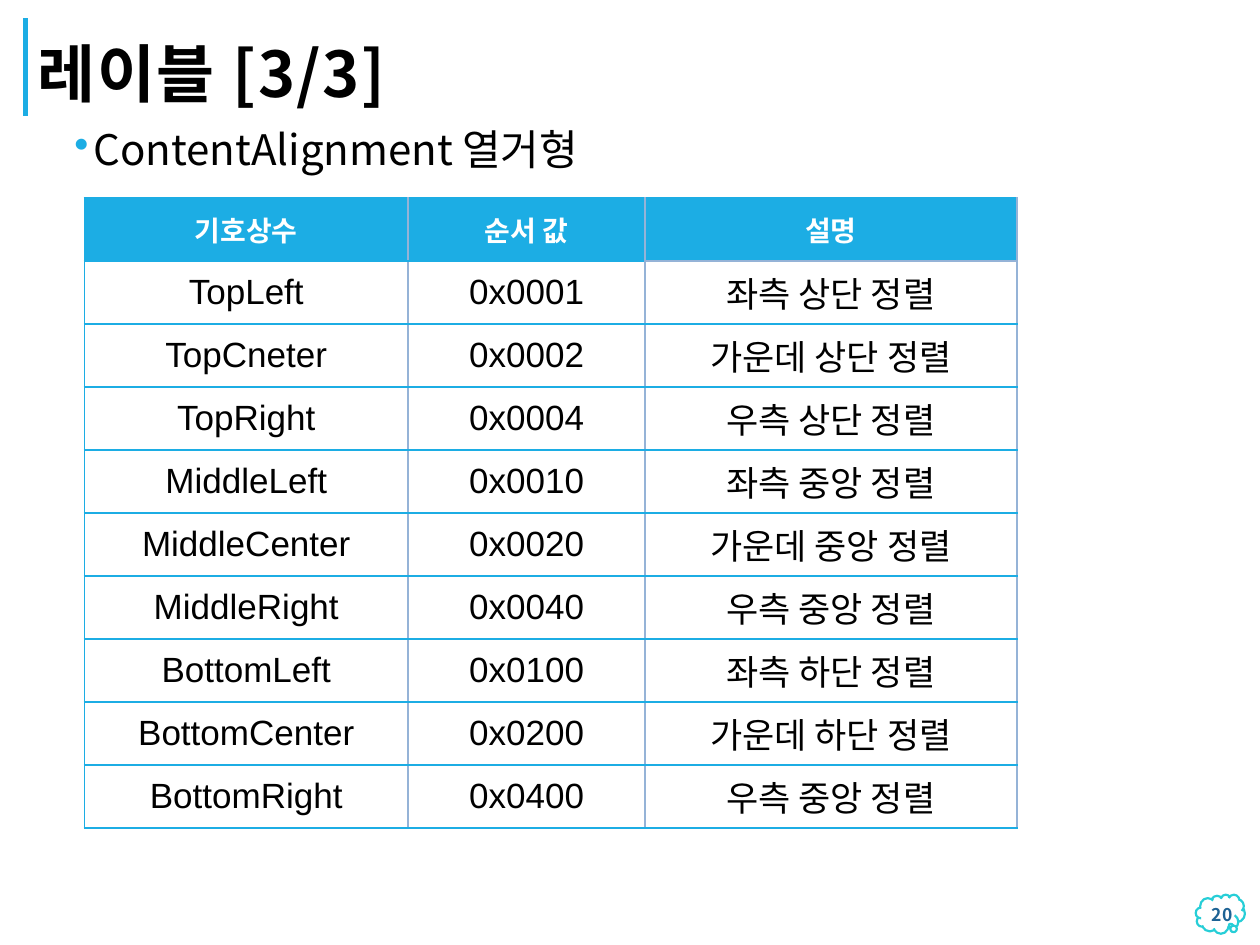
from lxml import etree
from pptx import Presentation
from pptx.dml.color import RGBColor
from pptx.enum import shapes, text
from pptx.oxml.ns import qn
from pptx.util import Inches, Pt

COLORS = {"accent": "1CADE4", "grid": "95B3D7", "cloud": "27CED7",
          "number": "1D6294", "black": "000000", "white": "FFFFFF"}
KOREAN_FONT = "Noto Sans CJK KR"
TITLE = "레이블 [3/3]"
SUBTITLE = "ContentAlignment 열거형"
PAGE_NUMBER = "20"
HEADER = ("기호상수", "순서 값", "설명")
MEMBERS = [
    ("TopLeft", "0x0001", "좌측 상단 정렬"),
    ("TopCneter", "0x0002", "가운데 상단 정렬"),
    ("TopRight", "0x0004", "우측 상단 정렬"),
    ("MiddleLeft", "0x0010", "좌측 중앙 정렬"),
    ("MiddleCenter", "0x0020", "가운데 중앙 정렬"),
    ("MiddleRight", "0x0040", "우측 중앙 정렬"),
    ("BottomLeft", "0x0100", "좌측 하단 정렬"),
    ("BottomCenter", "0x0200", "가운데 하단 정렬"),
    ("BottomRight", "0x0400", "우측 중앙 정렬"),
]
COLUMN_WIDTHS = (2.57, 1.88, 2.95)
ROW_HEIGHT = 0.5


def rgb(name):
    return RGBColor.from_string(COLORS[name])


def style_run(run, size, color, bold=False, font=KOREAN_FONT):
    run.font.size = Pt(size)
    run.font.bold = bold
    run.font.name = font
    run.font.color.rgb = rgb(color)
    east_asian = etree.Element(qn("a:ea"), typeface=KOREAN_FONT)
    run.font._element.find(qn("a:latin")).addnext(east_asian)


def add_text(slide, box, content, size, color, bold=False,
             anchor=text.MSO_ANCHOR.TOP):
    text_box = slide.shapes.add_textbox(*map(Inches, box))
    frame = text_box.text_frame
    frame.word_wrap = True
    frame.vertical_anchor = anchor
    frame.text = content
    paragraph = frame.paragraphs[0]
    style_run(paragraph.runs[0], size, color, bold)
    return frame, paragraph


def set_borders(cell, **sides):
    properties = cell._tc.get_or_add_tcPr()
    for position, side in enumerate(("L", "R", "T", "B")):
        line = etree.Element(qn(f"a:ln{side}"), w=str(Pt(1)))
        fill = etree.SubElement(line, qn("a:solidFill"))
        etree.SubElement(fill, qn("a:srgbClr"), val=COLORS[sides[side]])
        properties.insert(position, line)


presentation = Presentation()
presentation.slide_width, presentation.slide_height = Inches(10), Inches(7.5)
slide = presentation.slides.add_slide(presentation.slide_layouts[6])

# Title bar
bar = slide.shapes.add_connector(shapes.MSO_CONNECTOR.STRAIGHT, Inches(0.2),
                                 Inches(0.92), Inches(0.2), Inches(0.14))
bar.line.color.rgb = rgb("accent")
bar.line.width = Pt(3)
etree.SubElement(bar._element.spPr, qn("a:effectLst"))

# Page number cloud
cloud = slide.shapes.add_shape(shapes.MSO_SHAPE.CLOUD_CALLOUT,
                               *map(Inches, (9.49, 7.1, 0.39, 0.31)))
cloud.shadow.inherit = False
cloud.adjustments[0], cloud.adjustments[1] = 0.2, 0.28
cloud.fill.solid()
cloud.fill.fore_color.rgb = rgb("white")
cloud.line.color.rgb = rgb("cloud")
cloud.line.width = Pt(1.25)

# Bulleted subtitle
frame, paragraph = add_text(slide, (0.2, 0.98, 9.61, 6.14), SUBTITLE, 24, "black")
frame.margin_left = frame.margin_right = Inches(0.05)
frame.margin_top = frame.margin_bottom = Inches(0.05)
paragraph.line_spacing = 0.9
paragraph.space_before, paragraph.space_after = Pt(2), Pt(4)
properties = paragraph._p.get_or_add_pPr()
properties.set("marL", str(Inches(0.49)))
properties.set("indent", str(Inches(-0.15)))
bullet_color = etree.SubElement(properties, qn("a:buClr"))
etree.SubElement(bullet_color, qn("a:srgbClr"), val=COLORS["accent"])
etree.SubElement(properties, qn("a:buChar"), char="•")

# Title
frame, paragraph = add_text(slide, (0.2, 0.14, 7.97, 0.78), TITLE, 36, "black",
                            True, text.MSO_ANCHOR.BOTTOM)
paragraph.line_spacing = 0.8
paragraph.runs[0].font._element.set("spc", "100")

# Page number
frame, paragraph = add_text(slide, (9.25, 7.09, 0.63, 0.34), PAGE_NUMBER, 10,
                            "number", True, text.MSO_ANCHOR.MIDDLE)
paragraph.alignment = text.PP_ALIGN.RIGHT

# Enumeration table
rows = [HEADER] + MEMBERS
table = slide.shapes.add_table(
    len(rows), len(HEADER), Inches(0.67), Inches(1.57),
    Inches(sum(COLUMN_WIDTHS)), Inches(ROW_HEIGHT * len(rows))).table
for column, width in zip(table.columns, COLUMN_WIDTHS):
    column.width = Inches(width)
for row_index, values in enumerate(rows):
    table.rows[row_index].height = Inches(ROW_HEIGHT)
    is_header = row_index == 0
    for column_index, value in enumerate(values):
        cell = table.cell(row_index, column_index)
        cell.text = value
        cell.vertical_anchor = text.MSO_ANCHOR.MIDDLE
        cell.fill.solid()
        cell.fill.fore_color.rgb = rgb("accent" if is_header else "white")
        paragraph = cell.text_frame.paragraphs[0]
        paragraph.alignment = text.PP_ALIGN.CENTER
        style_run(paragraph.runs[0], 16 if is_header else 20,
                  "white" if is_header else "black", is_header, "Arial")
        is_last = column_index == len(HEADER) - 1
        set_borders(cell,
                    L="accent" if column_index == 0 else "grid",
                    R="grid",
                    T="grid" if is_last and row_index == 1 else "accent",
                    B="grid" if is_last and is_header else "accent")

presentation.save("out.pptx")
